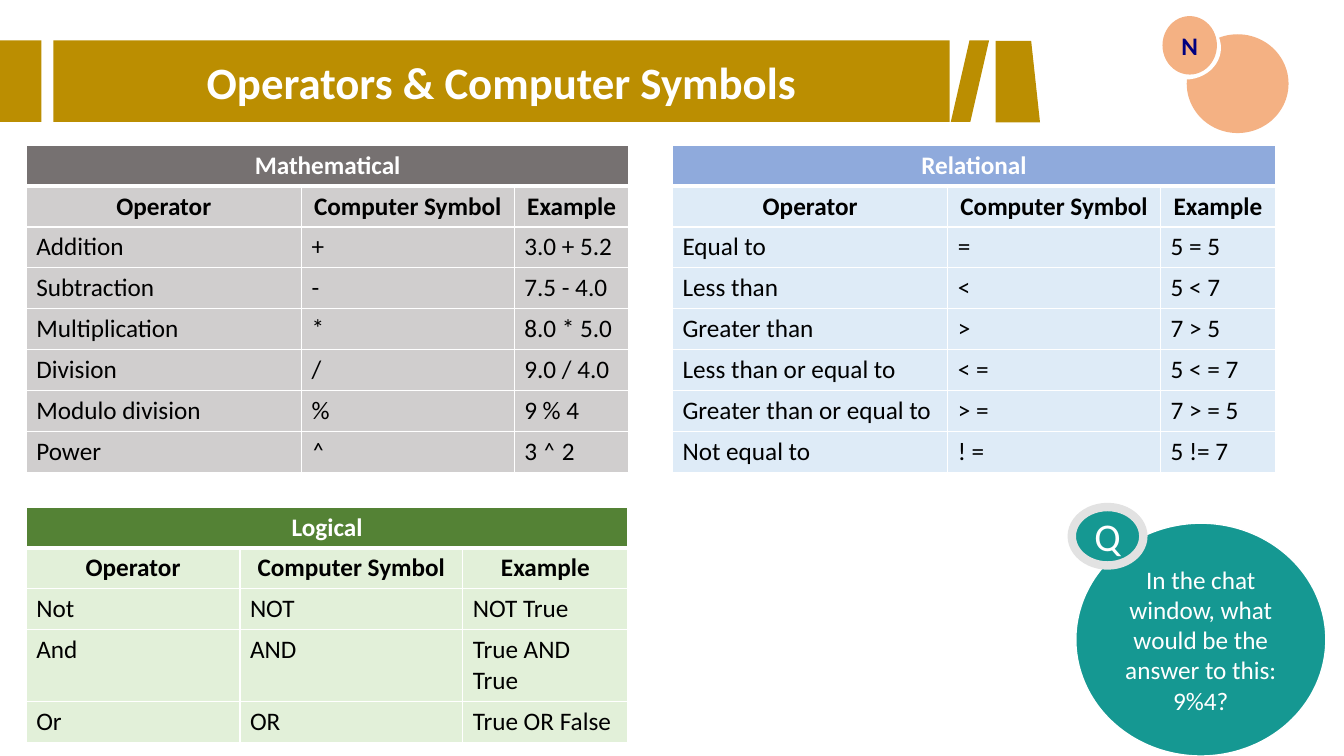
"""Build a slide of operator tables with a title banner and a question bubble."""
from lxml import etree
from pptx import Presentation
from pptx.dml.color import RGBColor
from pptx.enum import shapes, text
from pptx.oxml import ns
from pptx.util import Inches, Pt

TITLE = "Operators & Computer Symbols"
FONT = "Calibri"
GOLD, PEACH, TEAL, WHITE, BLACK = "BB8E01", "F4B183", "159892", "FFFFFF", "000000"
HEADINGS = ("Operator", "Computer Symbol", "Example")
WIDE_COLUMNS = (2.73, 2.11, 1.14)
ROW_HEIGHT, TALL_ROW_HEIGHT = 0.405, 0.7

TABLES = [
    dict(name="Mathematical", left=0.26, top=1.44, columns=WIDE_COLUMNS,
         dark="767171", light="D0CECE", tall_rows=(), rows=[
             ("Addition", "+", "3.0 + 5.2"),
             ("Subtraction", "-", "7.5 - 4.0"),
             ("Multiplication", "*", "8.0 * 5.0"),
             ("Division", "/", "9.0 / 4.0"),
             ("Modulo division", "%", "9 % 4"),
             ("Power", "˄", "3 ˄ 2")]),
    dict(name="Relational", left=6.67, top=1.44, columns=WIDE_COLUMNS,
         dark="8FAADC", light="DEEBF7", tall_rows=(), rows=[
             ("Equal to", "=", "5 = 5"),
             ("Less than", "<", "5 < 7"),
             ("Greater than", ">", "7 > 5"),
             ("Less than or equal to", "< =", "5 < = 7"),
             ("Greater than or equal to", "> =", "7 > = 5"),
             ("Not equal to", "! =", "5 != 7")]),
    dict(name="Logical", left=0.26, top=5.03, columns=(2.12, 2.21, 1.64),
         dark="548235", light="E2F0D9", tall_rows=(3,), rows=[
             ("Not", "NOT", "NOT True"),
             ("And", "AND", "True AND True"),
             ("Or", "OR", "True OR False")]),
]

QUESTION = ["In the chat window, what would be the answer to this:", "9%4?"]
KIND = shapes.MSO_SHAPE


def color(hex_value):
    return RGBColor.from_string(hex_value)


def write(frame, lines, size, font_color, bold=False, align=text.PP_ALIGN.CENTER):
    frame.text = "\n".join(lines)
    for paragraph in frame.paragraphs:
        paragraph.alignment = align
        font = paragraph.font
        font.name, font.size, font.bold = FONT, Pt(size), bold
        font.color.rgb = color(font_color)


def add_shape(slide, kind, box, fill, line=None):
    shape = slide.shapes.add_shape(kind, *map(Inches, box))
    shape.shadow.inherit = False
    shape.fill.solid()
    shape.fill.fore_color.rgb = color(fill)
    if line:
        shape.line.color.rgb = color(line[0])
        shape.line.width = Pt(line[1])
    else:
        shape.line.fill.background()
    return shape


def set_borders(cell, top, bottom):
    properties = cell._tc.get_or_add_tcPr()
    for side, width in (("L", 1), ("R", 1), ("T", top), ("B", bottom)):
        line = etree.SubElement(properties, ns.qn(f"a:ln{side}"), w=str(Pt(width)))
        fill = etree.SubElement(line, ns.qn("a:solidFill"))
        etree.SubElement(fill, ns.qn("a:srgbClr"), val=WHITE)


def add_operator_table(slide, name, left, top, columns, dark, light, tall_rows, rows):
    content = [(name, "", ""), HEADINGS, *rows]
    heights = [TALL_ROW_HEIGHT if i in tall_rows else ROW_HEIGHT
               for i in range(len(content))]
    box = (left, top, sum(columns), sum(heights))
    table = slide.shapes.add_table(len(content), len(columns), *map(Inches, box)).table
    for column, width in zip(table.columns, columns):
        column.width = Inches(width)
    table.cell(0, 0).merge(table.cell(0, len(columns) - 1))
    for i, values in enumerate(content):
        table.rows[i].height = Inches(heights[i])
        heading = i < 2
        align = text.PP_ALIGN.CENTER if heading else text.PP_ALIGN.LEFT
        for cell, value in zip(table.rows[i].cells, values):
            set_borders(cell, 3 if i == 1 else 1, 3 if i == 0 else 1)
            cell.fill.solid()
            cell.fill.fore_color.rgb = color(light if i else dark)
            write(cell.text_frame, [value], 18, BLACK if i else WHITE, heading, align)


def add_banner(slide):
    title = slide.shapes.title
    title.left, title.top, title.width, title.height = map(Inches, (0.53, 0.4, 8.89, 0.81))
    title.fill.solid()
    title.fill.fore_color.rgb = color(GOLD)
    write(title.text_frame, [TITLE], 32, WHITE, bold=True)
    title.text_frame.auto_size = text.MSO_AUTO_SIZE.NONE
    title.text_frame.vertical_anchor = text.MSO_ANCHOR.MIDDLE
    add_shape(slide, KIND.RECTANGLE, (0, 0.4, 0.41, 0.81), GOLD)
    slash = add_shape(slide, KIND.PARALLELOGRAM, (9.43, 0.4, 0.38, 0.81), GOLD)
    slash.adjustments[0] = 0.49
    end = add_shape(slide, KIND.FLOWCHART_MANUAL_INPUT, (9.69, 0.59, 0.81, 0.44), GOLD)
    end.rotation = 90


def add_bubbles(slide):
    add_shape(slide, KIND.OVAL, (11.77, 0.34, 1.01, 0.98), PEACH)
    add_shape(slide, KIND.OVAL, (11.4, 0.16, 0.71, 0.63), WHITE)
    badge = add_shape(slide, KIND.OVAL, (11.53, 0.16, 0.54, 0.58), PEACH)
    write(badge.text_frame, ["N"], 18, "000080", bold=True)
    question = add_shape(slide, KIND.OVAL, (10.67, 5.19, 2.48, 2.31), TEAL, (WHITE, 1))
    write(question.text_frame, QUESTION, 18, WHITE)
    marker = add_shape(slide, KIND.OVAL, (10.63, 5.03, 0.71, 0.58), TEAL, ("E2E2E2", 6))
    write(marker.text_frame, ["Q"], 28, WHITE)


def main():
    presentation = Presentation()
    presentation.slide_width, presentation.slide_height = Inches(13.33), Inches(7.5)
    slide = presentation.slides.add_slide(presentation.slide_layouts[5])
    for table in TABLES:
        add_operator_table(slide, **table)
    add_banner(slide)
    add_bubbles(slide)
    presentation.save("out.pptx")


if __name__ == "__main__":
    main()
